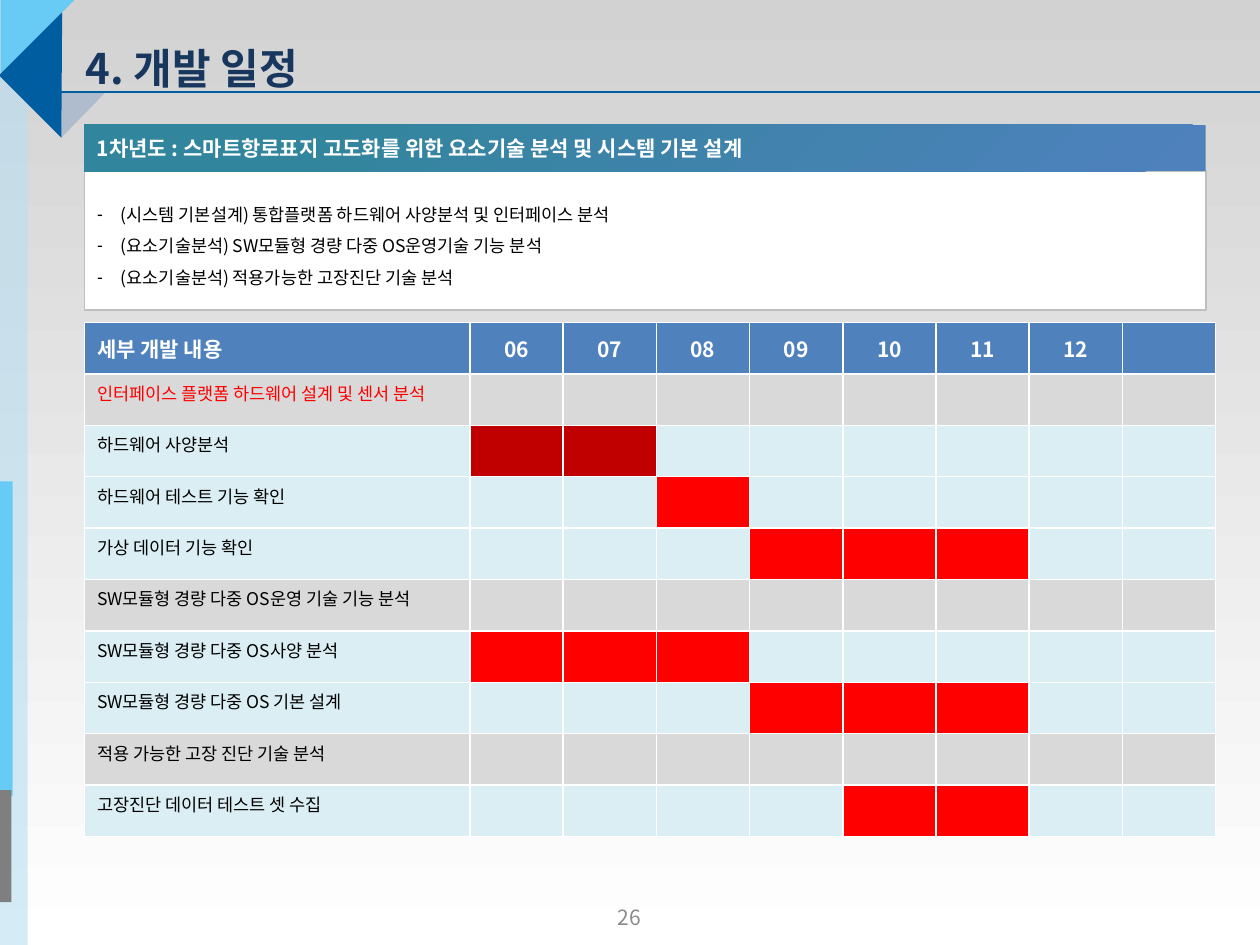
"""Build the development schedule slide with its summary panel and month grid."""
from lxml import etree
from pptx import Presentation
from pptx import util as u
from pptx.dml.color import RGBColor
from pptx.enum import shapes, text
from pptx.oxml.ns import qn

FONT = "Noto Sans CJK KR"
WHITE = RGBColor(0xFF, 0xFF, 0xFF)
BLACK = RGBColor(0x00, 0x00, 0x00)
SILVER = RGBColor(0xD2, 0xD2, 0xD2)
BORDER = RGBColor(0xBF, 0xBF, 0xBF)
GRAY = RGBColor(0x7F, 0x7F, 0x7F)
NUMBER_GRAY = RGBColor(0x8B, 0x8B, 0x8B)
SECTION_GRAY = RGBColor(0xD9, 0xD9, 0xD9)
PALE_BLUE = RGBColor(0xB9, 0xDE, 0xF1)
TASK_BLUE = RGBColor(0xDB, 0xEE, 0xF4)
SKY = RGBColor(0x67, 0xCB, 0xF5)
MIST = RGBColor(0xAF, 0xBC, 0xCD)
DEEP_BLUE = RGBColor(0x00, 0x5D, 0x9F)
NAVY = RGBColor(0x17, 0x37, 0x5E)
BLUE = RGBColor(0x4F, 0x81, 0xBD)
TEAL = RGBColor(0x31, 0x85, 0x9C)
RED = RGBColor(0xFF, 0x00, 0x00)
DARK_RED = RGBColor(0xC0, 0x00, 0x00)

LEFT, PANEL_WIDTH = 0.67, 8.9
MONTH_COLUMN, TASK_COLUMN, ROW = 0.74, 3.06, 0.408
RECTANGLE = shapes.MSO_SHAPE.RECTANGLE
TRIANGLE = shapes.MSO_SHAPE.RIGHT_TRIANGLE
PLAIN = {"size": u.Pt(10), "bold": False}
STRONG = {"size": u.Pt(12), "bold": True}


def write(paragraph, words, color, font_format, alignment=text.PP_ALIGN.LEFT):
    paragraph.alignment = alignment
    run = paragraph.add_run()
    run.text = words
    for name, value in {"name": FONT, **font_format}.items():
        setattr(run.font, name, value)
    run.font.color.rgb = color
    etree.SubElement(run.font._element, qn("a:ea"), typeface=FONT)


def add_block(kind, box, color, rotation=0):
    shape = slide.shapes.add_shape(kind, *map(u.Inches, box))
    shape.shadow.inherit = False
    shape.rotation = rotation
    shape.line.fill.background()
    if isinstance(color, RGBColor):
        shape.fill.solid()
        shape.fill.fore_color.rgb = color
    else:
        shape.fill.gradient()
        shape.fill.gradient_angle = color["angle"]
        for stop, (position, stop_color) in zip(shape.fill.gradient_stops, color["stops"]):
            stop.position = position
            stop.color.rgb = stop_color
    return shape


presentation = Presentation()
presentation.slide_width = u.Inches(10)
presentation.slide_height = u.Inches(7.5)
slide = presentation.slides.add_slide(presentation.slide_layouts[1])
title, body = slide.placeholders

add_block(RECTANGLE, (0, 0, 10, 7.54), {"angle": 270, "stops": [(0, SILVER), (1, WHITE)]})
side_band = add_block(RECTANGLE, (0, 0, 0.22, 7.54), PALE_BLUE)
band_color = side_band.fill._xPr.find(qn("a:solidFill"))[0]
etree.SubElement(band_color, qn("a:alpha"), val="60000")
for kind, box, color, rotation in [
    (RECTANGLE, (-0.08, 3.82, 0.18, 2.5), SKY, 0),
    (RECTANGLE, (-0.09, 6.27, 0.18, 0.89), GRAY, 0),
    (TRIANGLE, (0.48, 0.74, 0.36, 0.35), MIST, 90),
    (TRIANGLE, (0, 0, 0.6, 0.59), SKY, 90),
    (TRIANGLE, (0.14, 0.24, 0.7, 0.71), DEEP_BLUE, 45),
]:
    add_block(kind, box, color, rotation)

page_number = slide.shapes.add_textbox(*map(u.Inches, (3.83, 7.18, 2.33, 0.19)))
page_number.text_frame.word_wrap = True
page_number.text_frame.vertical_anchor = text.MSO_ANCHOR.MIDDLE
write(page_number.text_frame.paragraphs[0], "26", NUMBER_GRAY,
      {"size": u.Pt(12)}, text.PP_ALIGN.CENTER)

rule = slide.shapes.add_connector(
    shapes.MSO_CONNECTOR.STRAIGHT, *map(u.Inches, (0.48, 0.73, 10, 0.73)))
rule.line.color.rgb = DEEP_BLUE
rule.line.width = u.Pt(1.5)
etree.SubElement(rule._element.spPr, qn("a:effectLst"))

for placeholder, box in [
    (title, (0.58, 0.34, 8.83, 0.4)),
    (body, (LEFT, 1.36, PANEL_WIDTH, 1.1)),
]:
    slide.shapes._spTree.append(placeholder._element)
    for name, value in zip(("left", "top", "width", "height"), box):
        setattr(placeholder, name, u.Inches(value))
    for name, value in {
        "auto_size": text.MSO_AUTO_SIZE.NONE,
        "vertical_anchor": text.MSO_ANCHOR.MIDDLE,
        "word_wrap": True,
    }.items():
        setattr(placeholder.text_frame, name, value)
write(title.text_frame.paragraphs[0], "4. 개발 일정", NAVY, {"size": u.Pt(24), "bold": True})

body.fill.solid()
body.fill.fore_color.rgb = WHITE
body.line.color.rgb = BORDER
body.line.width = u.Pt(1)
for index, words in enumerate([
    "(시스템 기본설계) 통합플랫폼 하드웨어 사양분석 및 인터페이스 분석",
    "(요소기술분석) SW모듈형 경량 다중 OS운영기술 기능 분석",
    "(요소기술분석) 적용가능한 고장진단 기술 분석",
]):
    paragraph = body.text_frame.add_paragraph() if index else body.text_frame.paragraphs[0]
    properties = paragraph._p.get_or_add_pPr()
    properties.set("marL", str(u.Inches(0.19)))
    properties.set("indent", str(-u.Inches(0.19)))
    etree.SubElement(properties, qn("a:buChar"), char="-")
    paragraph.line_spacing = 1.5
    paragraph.space_before = u.Pt(0)
    write(paragraph, words, BLACK, PLAIN)

banner = add_block(RECTANGLE, (LEFT, 0.99, PANEL_WIDTH, 0.37),
                   {"angle": 135, "stops": [(0, BLUE), (0.82, TEAL)]})
banner.text_frame.word_wrap = True
banner.text_frame.vertical_anchor = text.MSO_ANCHOR.MIDDLE
write(banner.text_frame.paragraphs[0],
      "1차년도 : 스마트항로표지 고도화를 위한 요소기술 분석 및 시스템 기본 설계", WHITE, STRONG)

headings = ["세부 개발 내용", "06", "07", "08", "09", "10", "11", "12", ""]
tasks = [
    ("인터페이스 플랫폼 하드웨어 설계 및 센서 분석", RED, SECTION_GRAY, [], None),
    ("하드웨어 사양분석", BLACK, TASK_BLUE, ["06", "07"], DARK_RED),
    ("하드웨어 테스트 기능 확인", BLACK, TASK_BLUE, ["08"], RED),
    ("가상 데이터 기능 확인", BLACK, TASK_BLUE, ["09", "10", "11"], RED),
    ("SW모듈형 경량 다중 OS운영 기술 기능 분석", BLACK, SECTION_GRAY, [], None),
    ("SW모듈형 경량 다중 OS사양 분석", BLACK, TASK_BLUE, ["06", "07", "08"], RED),
    ("SW모듈형 경량 다중 OS 기본 설계", BLACK, TASK_BLUE, ["09", "10", "11"], RED),
    ("적용 가능한 고장 진단 기술 분석", BLACK, SECTION_GRAY, [], None),
    ("고장진단 데이터 테스트 셋 수집", BLACK, TASK_BLUE, ["10", "11"], RED),
]
row_count, column_count = len(tasks) + 1, len(headings)
schedule = slide.shapes.add_table(
    row_count, column_count, u.Inches(LEFT), u.Inches(2.56),
    u.Inches(TASK_COLUMN + MONTH_COLUMN * (column_count - 1)),
    u.Inches(ROW * row_count)).table
schedule.horz_banding = False
for row in schedule.rows:
    row.height = u.Inches(ROW)
for index, heading in enumerate(headings):
    schedule.columns[index].width = u.Inches(MONTH_COLUMN if index else TASK_COLUMN)
    cell = schedule.cell(0, index)
    cell.fill.solid()
    cell.fill.fore_color.rgb = BLUE
    cell.vertical_anchor = text.MSO_ANCHOR.MIDDLE
    write(cell.text_frame.paragraphs[0], heading, WHITE, STRONG,
          text.PP_ALIGN.CENTER if index else text.PP_ALIGN.LEFT)
    for row_index, (task, color, row_fill, months, bar_fill) in enumerate(tasks, 1):
        cell = schedule.cell(row_index, index)
        cell.fill.solid()
        cell.fill.fore_color.rgb = bar_fill if heading in months else row_fill
        write(cell.text_frame.paragraphs[0], "" if index else task, color, PLAIN)

presentation.save("out.pptx")
